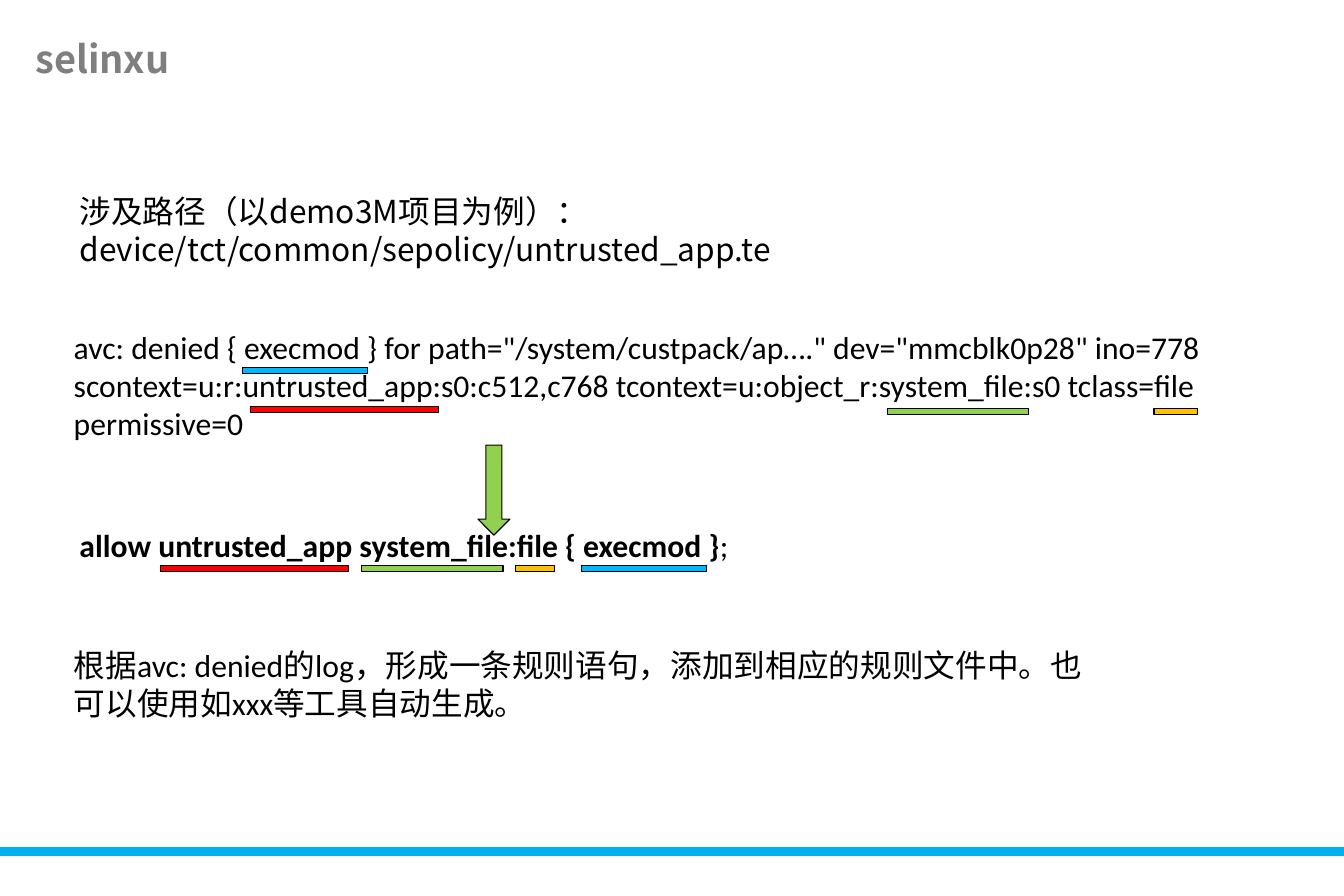
from lxml import etree
from pptx import Presentation
from pptx.dml.color import RGBColor
from pptx.enum import shapes, text
from pptx.oxml.ns import qn
from pptx.util import Inches, Pt

CJK = "Noto Sans CJK SC"
LATIN = "Calibri"
BLACK, BLUE, RED, GREEN, AMBER = "000000", "00B8FF", "FF0000", "92D050", "FFC000"


def rgb(value):
    return RGBColor.from_string(value)


def add_text(box, paragraphs, font, size=20, color=BLACK, bold=False,
             anchor=text.MSO_ANCHOR.TOP, inset=(0.1, 0.05)):
    """Place a wrapped text box; each paragraph is a list of (wording, bold) runs."""
    frame = slide.shapes.add_textbox(*map(Inches, box)).text_frame
    frame.word_wrap = True
    frame.vertical_anchor = anchor
    frame.margin_left = frame.margin_right = Inches(inset[0])
    frame.margin_top = frame.margin_bottom = Inches(inset[1])
    for number, runs in enumerate(paragraphs):
        paragraph = frame.add_paragraph() if number else frame.paragraphs[0]
        paragraph.font.size = Pt(size)
        paragraph.font.bold = bold
        paragraph.font.color.rgb = rgb(color)
        paragraph.font.name = font
        defaults = paragraph._p.pPr.find(qn("a:defRPr"))
        etree.SubElement(defaults, qn("a:ea")).set("typeface", CJK)
        for wording, run_bold in runs:
            run = paragraph.add_run()
            run.text = wording
            if run_bold:
                run.font.bold = True


prs = Presentation()
prs.slide_width, prs.slide_height = Inches(11.81), Inches(7.87)
slide = prs.slides.add_slide(prs.slide_layouts[6])

footer_rule = slide.shapes.add_connector(
    shapes.MSO_CONNECTOR.STRAIGHT, 0, Inches(7.48), Inches(11.81), Inches(7.48))
footer_rule.line.color.rgb = rgb("00B0F0")
footer_rule.line.width = Pt(5.75)
etree.SubElement(footer_rule._element.spPr, qn("a:effectLst"))

add_text((0.2, 0.2, 10.29, 0.62), [[("selinxu", False)]], CJK, size=24,
         color="7F7F7F", bold=True, anchor=text.MSO_ANCHOR.MIDDLE, inset=(0.11, 0.06))
add_text((0.6, 1.64, 6.87, 0.77),
         [[("涉及路径（以demo3M项目为例）：", False)],
          [("device/tct/common/sepolicy/untrusted_app.te", False)]], CJK)
add_text((0.55, 2.83, 10.9, 1.44),
         [[('avc: denied { execmod } for path="/system/custpack/ap…." '
            'dev="mmcblk0p28" ino=778 scontext=u:r:untrusted_app:s0:c512,c768 '
            'tcontext=u:object_r:system_file:s0 tclass=file permissive=0', False)]], LATIN)
add_text((0.6, 4.57, 9.53, 0.44),
         [[("allow untrusted_app system_file:file { execmod }", True), (";", False)]], LATIN)
add_text((0.55, 5.62, 9.09, 0.77),
         [[("根据avc: denied的log，形成一条规则语句，添加到相应的规则文件中。"
            "也可以使用如xxx等工具自动生成。", False)]], LATIN)

# Matching terms share a colour: left, top and width in the log, then in the rule
RULE_TOP = 4.97
underlines = [
    (BLUE, (2.13, 3.23, 1.1), (5.11, RULE_TOP, 1.1)),
    (RED, (2.2, 3.57, 1.65), (1.41, RULE_TOP, 1.65)),
    (GREEN, (7.8, 3.59, 1.24), (3.18, RULE_TOP, 1.24)),
    (AMBER, (10.14, 3.59, 0.38), (4.53, RULE_TOP, 0.34)),
]
marks = [(shapes.MSO_SHAPE.RECTANGLE, color, (*place, 0.05))
         for color, *places in underlines for place in places]
marks.append((shapes.MSO_SHAPE.DOWN_ARROW, GREEN, (4.2, 3.91, 0.28, 0.79)))

for kind, color, box in marks:
    mark = slide.shapes.add_shape(kind, *map(Inches, box))
    mark.shadow.inherit = False
    mark.fill.solid()
    mark.fill.fore_color.rgb = rgb(color)
    mark.line.color.rgb = rgb(BLACK)
    mark.line.width = Pt(0.75)

prs.save("out.pptx")
